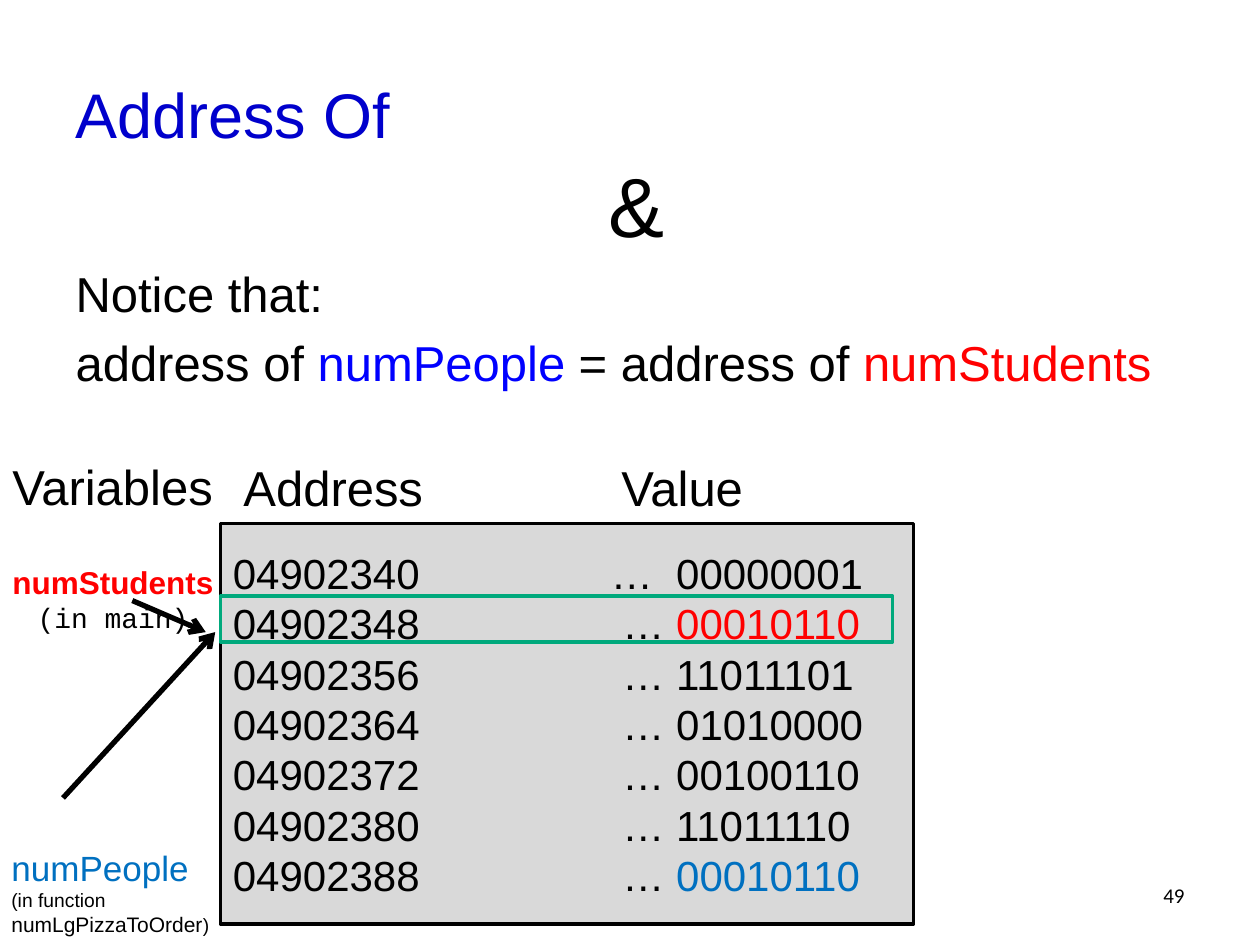
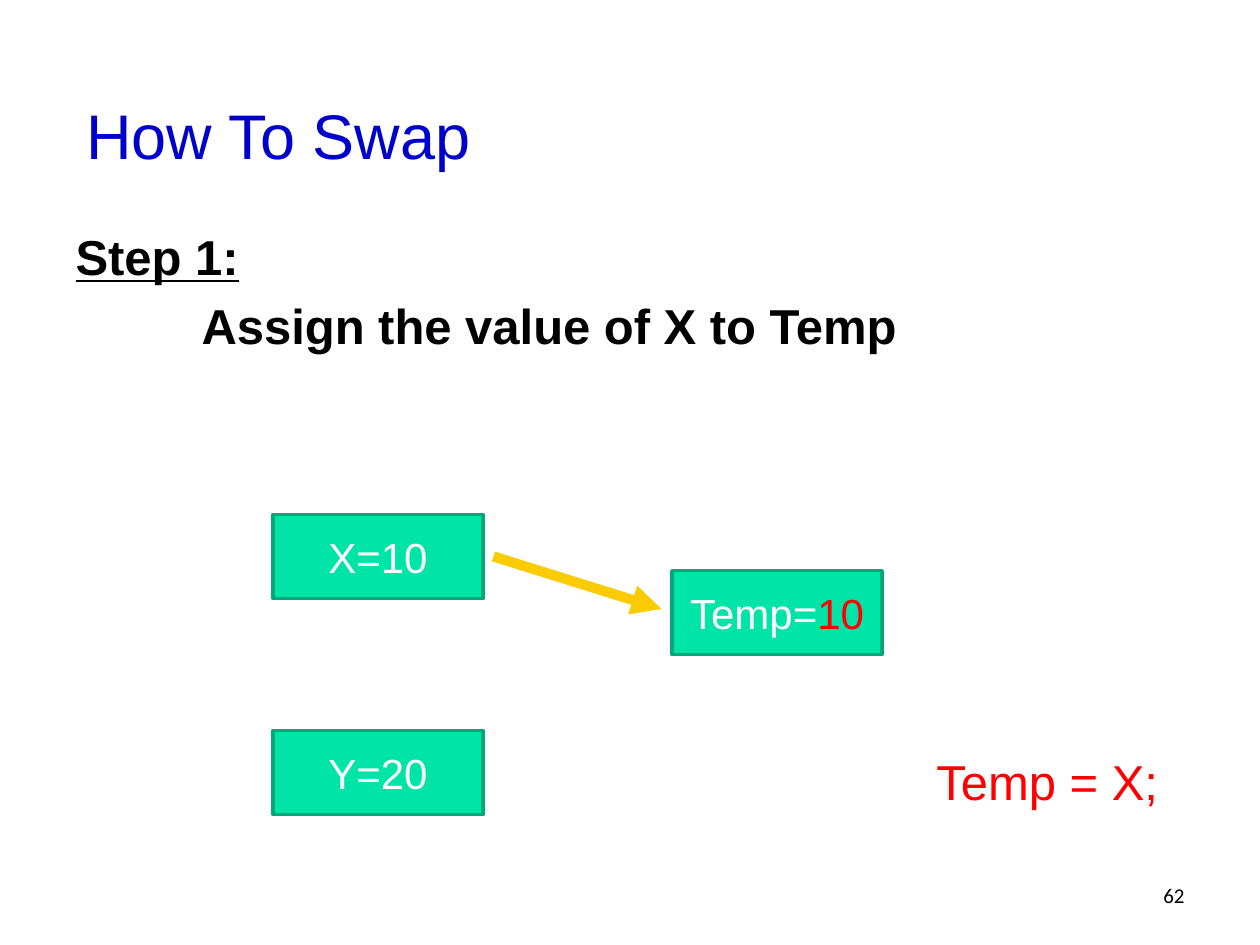
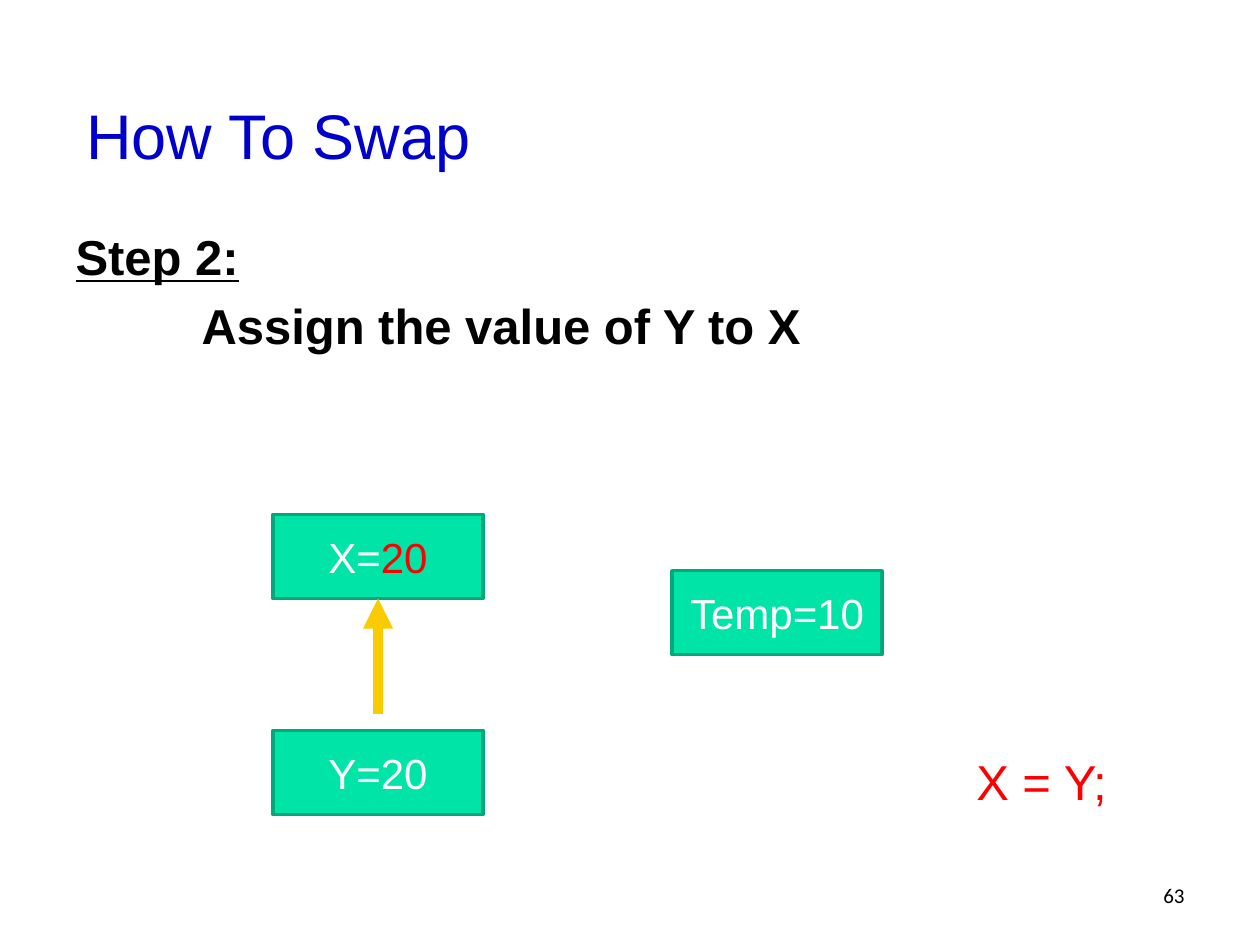
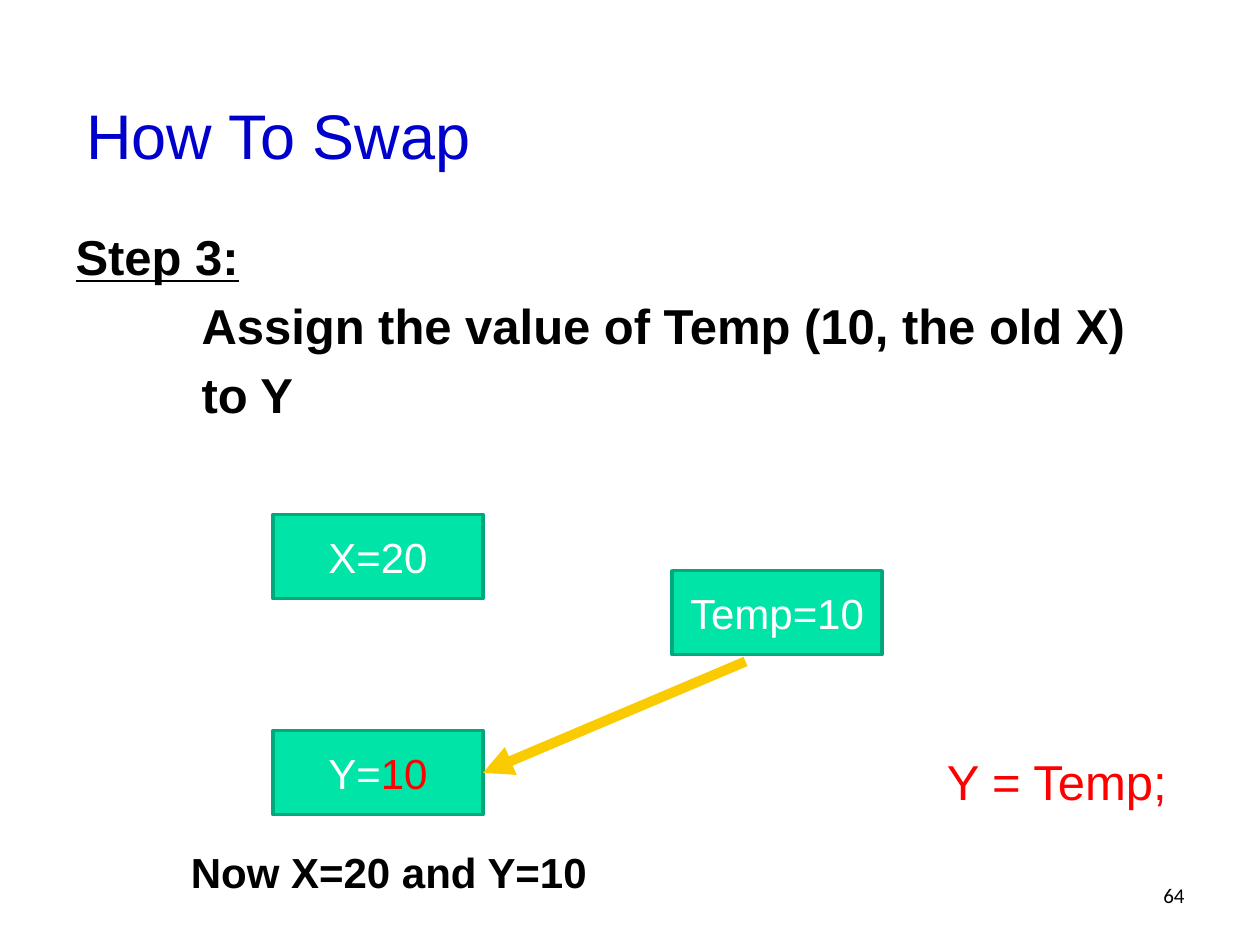
import pptx
import pptx.util
import pptx.dml.color
import pptx.enum.shapes
import pptx.enum.text
import pptx.oxml
import pptx.oxml.ns

COLS, ROWS = 120, 90
deck = pptx.Presentation()
deck.slide_width = pptx.util.Inches(10)
deck.slide_height = pptx.util.Inches(7.5)
cell = deck.slide_width / COLS

BLACK, WHITE, RED, NAVY = "000000", "FFFFFF", "FF0000", "0000CC"
BLUE, SKY, GRAY = "0000FF", "0070C0", "D9D9D9"
MINT, GREEN, GOLD = "00E4A8", "00A97C", "FACB00"
SHAPE = pptx.enum.shapes.MSO_SHAPE.RECTANGLE
LINE = pptx.enum.shapes.MSO_CONNECTOR.STRAIGHT
LEFT = pptx.enum.text.PP_ALIGN.LEFT
MID = pptx.enum.text.PP_ALIGN.CENTER
RIGHT = pptx.enum.text.PP_ALIGN.RIGHT
HALF = pptx.enum.text.MSO_ANCHOR.MIDDLE
LOW = pptx.enum.text.MSO_ANCHOR.BOTTOM
BODY = {"margin_right": 0}
NS = pptx.oxml.ns.nsdecls("a")
STOPS = "".join(f'<a:tab pos="{pptx.util.Inches(inch)}" algn="l"/>' for inch in (1, 2, 3))


def hue(code):
    return pptx.dml.color.RGBColor.from_string(code)


def box(page, place, paras, size, tint=BLACK, align=LEFT, frame=None, gap=0,
        fill=None, edge=None, **look):
    spot = [round(part * cell) for part in place]
    if edge:
        item = page.shapes.add_shape(SHAPE, *spot)
        item.shadow.inherit = False
        item.line.color.rgb = hue(edge)
        item.line.width = pptx.util.Pt(2)
        if fill:
            item.fill.solid()
            item.fill.fore_color.rgb = hue(fill)
        else:
            item.fill.background()
    else:
        item = page.shapes.add_textbox(*spot)
    for key, value in ({"word_wrap": True} | (frame or {})).items():
        setattr(item.text_frame, key, value)
    for row, runs in enumerate(paras):
        para = item.text_frame.paragraphs[0] if row == 0 else item.text_frame.add_paragraph()
        para.alignment = align
        if row and gap:
            para.space_before = pptx.util.Pt(gap)
        if any("\t" in text for text, style in runs):
            stops = pptx.oxml.parse_xml(f"<a:tabLst {NS}>{STOPS}</a:tabLst>")
            para._p.get_or_add_pPr().append(stops)
        for text, style in runs:
            style = {"name": "Arial", "size": size, "tint": tint} | look | style
            para.alignment = style.pop("align", para.alignment)
            run = para.add_run()
            run.text = text
            run.font.color.rgb = hue(style.pop("tint"))
            style["size"] = pptx.util.Pt(style["size"])
            for key, value in style.items():
                setattr(run.font, key, value)


titles = [("Address Of", (6, 0, 108, 15), 49)]
titles += [("How To Swap", (7.05, 4, 109, 13), num) for num in (62, 63, 64)]
pages = []
for title, place, num in titles:
    page = deck.slides.add_slide(deck.slide_layouts[6])
    box(page, place, [[(title, {})]], 36, NAVY, frame={"vertical_anchor": LOW})
    box(page, (86, 83.45, 28, 4.8), [[(str(num), {})]], 12, align=RIGHT, name="Calibri")
    pages.append(page)

first = pages[0]
box(first, (6.02, 14, 108, 27), [
    [("&", {"size": 48, "align": MID})],
    [("Notice that:", {})],
    [("address of ", {}), ("numPeople", {"tint": BLUE}),
     (" = address of ", {}), ("numStudents", {"tint": RED})],
], 28, frame=BODY, gap=5.6)

cells = [
    ("…  ", "00000001", BLACK),
    (" … ", "00010110", RED),
    (" … ", "11011101", BLACK),
    (" … ", "01010000", BLACK),
    (" … ", "00100110", BLACK),
    (" … ", "11011110", BLACK),
    (" … ", "00010110", SKY),
]
store = [[(f"{4902340 + 8 * row:08}\t\t{dots}", {}), (bits, {"tint": tint})]
         for row, (dots, bits, tint) in enumerate(cells)]
box(first, (21, 49.85, 66, 38.15), store, 24, frame={"vertical_anchor": HALF},
    fill=GRAY, edge=BLACK)
box(first, (22, 43, 64, 6.8), [[("Address\t\tValue", {})]], 28)
box(first, (21, 56.75, 64, 4.4), [], 24, edge=GREEN)
box(first, (0, 53, 21.7, 8), [
    [("numStudents", {"tint": RED, "bold": True})],
    [("(in main)", {"name": "Courier New", "size": 16, "align": MID})],
], 18, frame={"word_wrap": False})
box(first, (0, 42.88, 23, 6.8), [[("Variables", {})]], 28)
box(first, (-0.1, 80, 25.1, 9.8), [
    [("numPeople", {"size": 20, "tint": SKY})],
    [("(in function ", {}), ("numLgPizzaToOrder", {"size": 12}), (")", {})],
], 11)

spots = {"X": (26, 49), "Y": (26, 69.58), "Temp": (64, 54.35)}
steps = [
    (["Assign the value of X to Temp"], {"X": 10, "Y": 20, "Temp": 10},
     "Temp", "Temp = X;", 88),
    (["Assign the value of Y to X"], {"X": 20, "Y": 20, "Temp": 10},
     "X", "X = Y;", 91.8),
    (["Assign the value of Temp (10, the old X)", "to Y"], {"X": 20, "Y": 10, "Temp": 10},
     "Y", "Y = Temp;", 89),
]
for num, (lines, values, fresh, code, left) in enumerate(steps, 1):
    page = pages[num]
    paras = [[(f"Step {num}:", {"underline": True})]]
    paras += [[("\t" + line, {})] for line in lines]
    box(page, (6.02, 21, 108, 7.75 * (len(lines) + 1)), paras, 28, frame=BODY, gap=5.6,
        bold=True)
    for name, value in values.items():
        tint = RED if name == fresh else WHITE
        box(page, (*spots[name], 20, 8), [[(f"{name}=", {}), (str(value), {"tint": tint})]],
            24, WHITE, MID, {"vertical_anchor": HALF}, fill=MINT, edge=GREEN)
    box(page, (left, 71, 114 - left, 6.8), [[(code, {})]], 28, RED)
box(pages[3], (17, 80, 74, 6), [[("Now X=20 and Y=10", {})]], 24, bold=True)

arrows = [
    (0, (12.6, 57.2, 19.6, 60.2), BLACK, 3, "arrow"),
    (0, (6, 76, 20.5, 60.2), BLACK, 3, "arrow"),
    (1, (47, 53, 63, 58), GOLD, 5.75, "triangle"),
    (2, (36, 68, 36, 57), GOLD, 5.75, "triangle"),
    (3, (71, 63, 46, 73.6), GOLD, 5.75, "triangle"),
]
for num, ends, tint, width, head in arrows:
    line = pages[num].shapes.add_connector(LINE, *[round(end * cell) for end in ends])
    line.line.color.rgb = hue(tint)
    line.line.width = pptx.util.Pt(width)
    tip = pptx.oxml.parse_xml(f'<a:tailEnd {NS} type="{head}"/>')
    line.line._get_or_add_ln().append(tip)
    line._element.spPr.append(pptx.oxml.parse_xml(f"<a:effectLst {NS}/>"))

deck.save("out.pptx")
